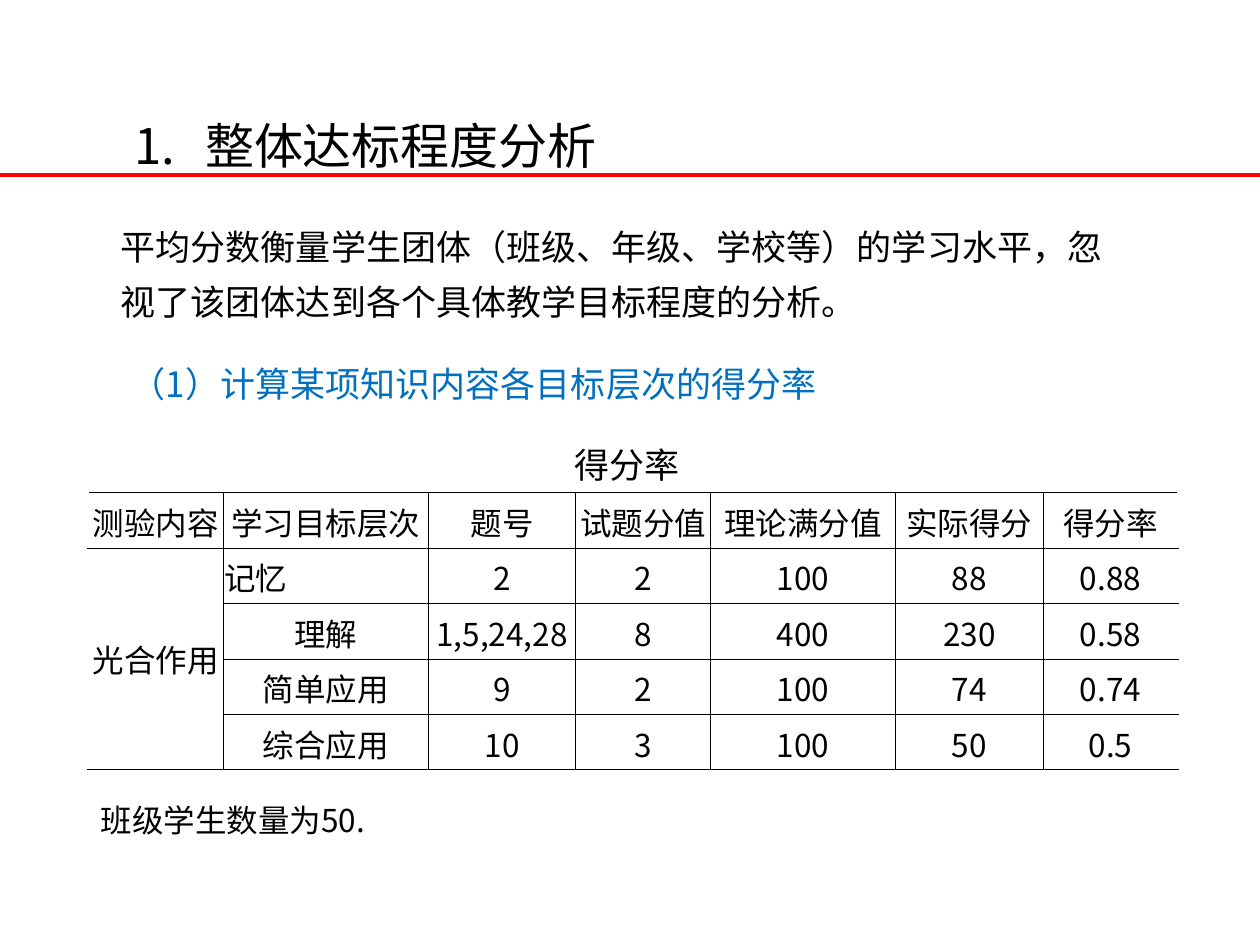
from lxml.etree import SubElement as Sub
from pptx import Presentation
from pptx.dml.color import RGBColor
from pptx.enum.shapes import MSO_CONNECTOR as Conn
from pptx.enum.text import MSO_ANCHOR as Anchor, MSO_AUTO_SIZE as Auto, PP_ALIGN as Align
from pptx.oxml.ns import qn
from pptx.util import Inches, Pt

FACE = "Noto Sans CJK SC"
COLS = [1.07, 1.63, 1.17, 1.07, 1.47, 1.17, 1.07]
ROWS = [
    ["测验内容", "学习目标层次", "题号", "试题分值", "理论满分值", "实际得分", "得分率"],
    ["光合作用", "记忆", "2", "2", "100", "88", "0.88"],
    ["", "理解", "1,5,24,28", "8", "400", "230", "0.58"],
    ["", "简单应用", "9", "2", "100", "74", "0.74"],
    ["", "综合应用", "10", "3", "100", "50", "0.5"],
]


def tint(code):
    """Return the colour of a hex string."""
    return RGBColor.from_string(code)


def apply(item, form):
    """Set each attribute named in a dict of format values."""
    for name, value in form.items():
        setattr(item, name, value)


def write(para, text, size, color="000000", tab=None):
    """Put one run of styled text in a paragraph."""
    if tab:
        tabs = Sub(para._p.get_or_add_pPr(), qn("a:tabLst"))
        Sub(tabs, qn("a:tab"), pos=str(Inches(tab)), algn="l")
    run = para.add_run()
    run.text = text
    apply(run.font, {"size": Pt(size), "name": FACE})
    run.font.color.rgb = tint(color)
    Sub(run.font._element, qn("a:ea"), typeface=FACE)


def add_text(slide, area, text, size, color="000000", align=Align.LEFT, right=0.1, tab=None):
    """Add a wrapped text box with one paragraph."""
    frame = slide.shapes.add_textbox(*map(Inches, area)).text_frame
    apply(frame, {"word_wrap": True, "auto_size": Auto.SHAPE_TO_FIT_TEXT,
                  "margin_right": Inches(right)})
    para = frame.paragraphs[0]
    apply(para, {"line_spacing": 1.3, "alignment": align})
    write(para, text, size, color, tab)


def add_rule(slide, top, color, width):
    """Draw a level line across the slide."""
    line = slide.shapes.add_connector(Conn.STRAIGHT, 0, Inches(top), Inches(10), Inches(top))
    apply(line.line, {"width": Pt(width)})
    line.line.color.rgb = tint(color)
    Sub(line._element.spPr, qn("a:effectLst"))


def edge(cell, sides):
    """Give a cell thin black borders on the named sides."""
    props = cell._tc.get_or_add_tcPr()
    for side in sides:
        line = Sub(props, qn(f"a:ln{side}"), w=str(Pt(0.45)))
        fill = Sub(line, qn("a:solidFill"))
        Sub(fill, qn("a:srgbClr"), val="000000")


def add_grid(slide, left, top, height):
    """Add the score table, open at its left and right."""
    size = len(ROWS), len(COLS)
    area = map(Inches, (left, top, sum(COLS), height * len(ROWS)))
    table = slide.shapes.add_table(*size, *area).table
    apply(table, {"first_row": False, "horz_banding": False})
    for col, width in zip(table.columns, COLS):
        col.width = Inches(width)
    form = {"margin_left": Inches(0.01), "margin_right": Inches(0.01),
            "vertical_anchor": Anchor.MIDDLE}
    last = len(COLS) - 1
    for r, row in enumerate(ROWS):
        table.rows[r].height = Inches(height)
        for c, text in enumerate(row):
            cell = table.cell(r, c)
            apply(cell, form)
            edge(cell, ("L" if c else "") + ("R" if c < last else "") + "TB")
            cell.fill.background()
            if text:
                para = cell.text_frame.paragraphs[0]
                para.alignment = Align.LEFT if text == "记忆" else Align.CENTER
                write(para, text, 18)
    table.cell(1, 0).merge(table.cell(len(ROWS) - 1, 0))


def main():
    """Build the slide and save it."""
    deck = Presentation()
    apply(deck, {"slide_width": Inches(10), "slide_height": Inches(7.5)})
    slide = deck.slides.add_slide(deck.slide_layouts[6])
    add_text(slide, (0.97, 0.73, 7.97, 0.71), "1.\t整体达标程度分析", 28, tab=0.56)
    add_rule(slide, 1.39, "FF0000", 2.25)
    add_text(slide, (0.86, 1.64, 8.12, 0.97),
             "平均分数衡量学生团体（班级、年级、学校等）的学习水平，"
             "忽视了该团体达到各个具体教学目标程度的分析。", 20)
    add_text(slide, (0.94, 2.73, 6.09, 0.54),
             "（1）计算某项知识内容各目标层次的得分率", 20, "0070C0")
    add_grid(slide, 0.7, 3.91, 0.44)
    add_text(slide, (1.42, 3.37, 7.26, 0.54), "得分率", 20, align=Align.CENTER, right=0.24)
    add_text(slide, (0.7, 6.22, 6.09, 0.49), "班级学生数量为50.", 18)
    deck.save("out.pptx")


if __name__ == "__main__":
    main()
